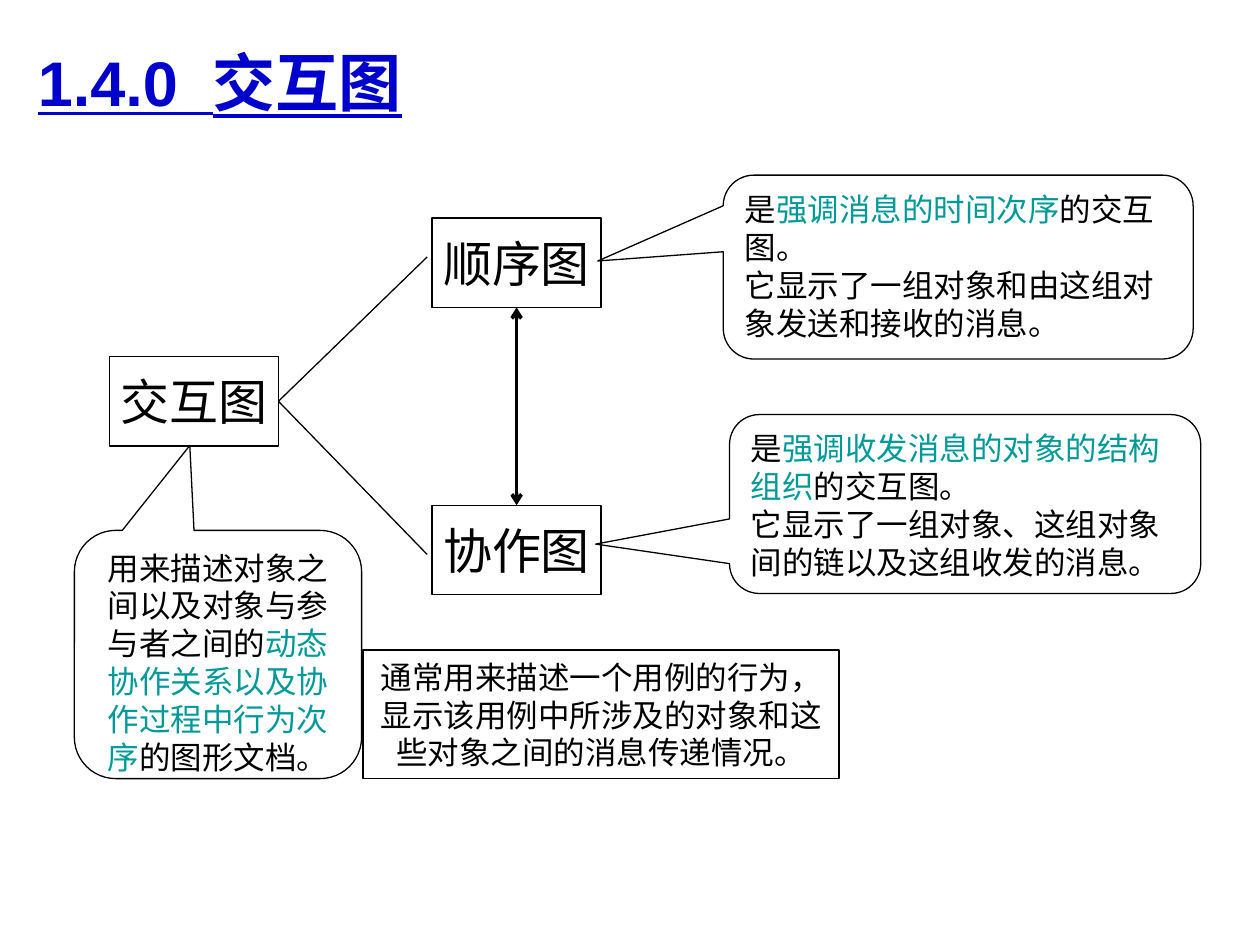
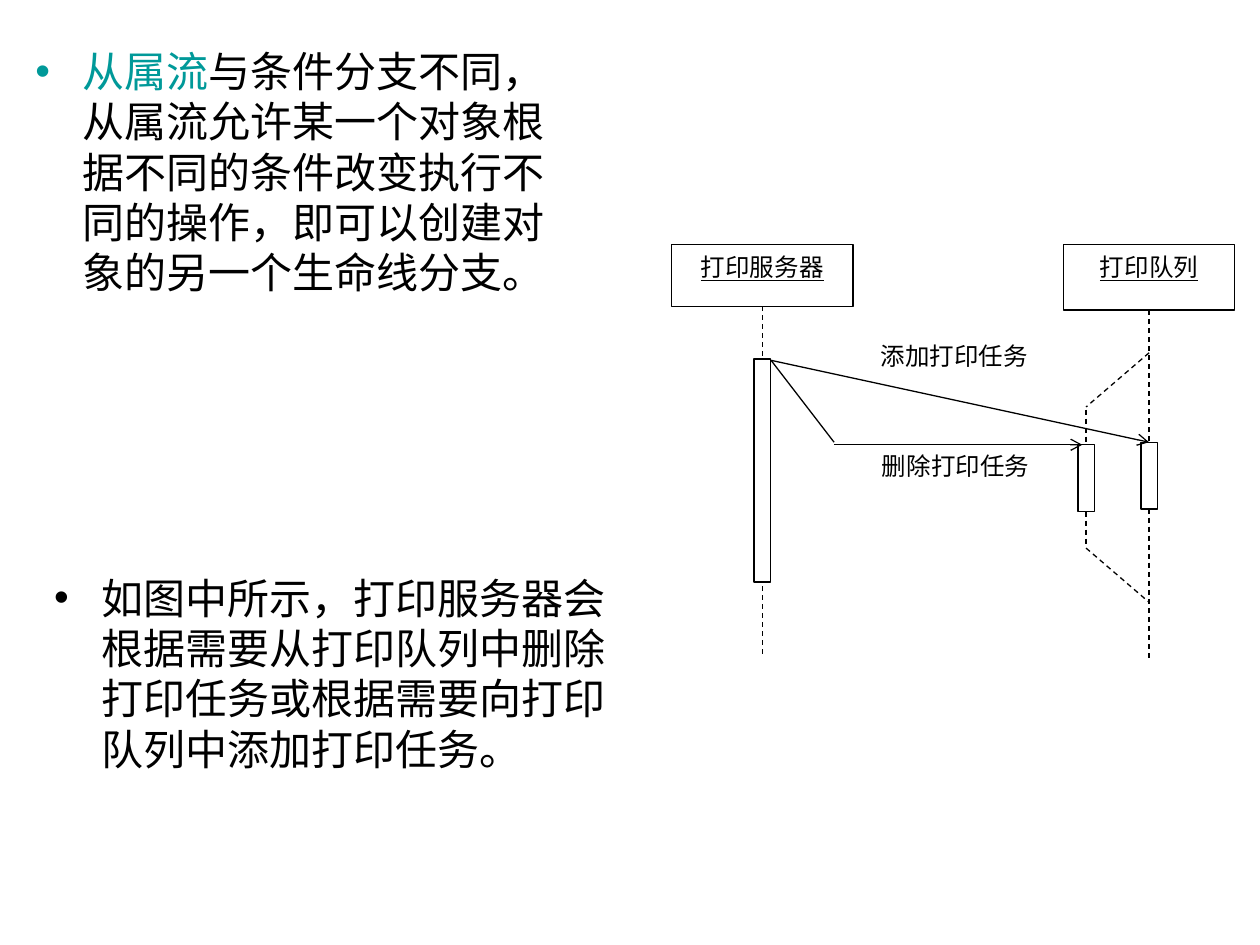
"""Build two slides on interaction diagrams and subordinate flow."""
import pptx
import pptx.dml.color
import pptx.enum.dml
import pptx.enum.lang
import pptx.enum.shapes
import pptx.enum.text
import pptx.oxml
import pptx.oxml.ns
import pptx.util

COLS, ROWS = 100, 75
BLACK, WHITE, BLUE, TEAL = "000000", "FFFFFF", "0000CC", "009999"
SHAPE = pptx.enum.shapes.MSO_SHAPE
ANCHOR = pptx.enum.text.MSO_ANCHOR
ALIGN = pptx.enum.text.PP_ALIGN
CHINESE = pptx.enum.lang.MSO_LANGUAGE_ID.SIMPLIFIED_CHINESE
TOP, LEFT, BOTTOM, RIGHT = range(4)


def rgb(code):
    return pptx.dml.color.RGBColor.from_string(code)


def set_all(obj, values):
    for name, value in values.items():
        setattr(obj, name, value)


def margins(left, top, right, bottom):
    names = ("margin_left", "margin_top", "margin_right", "margin_bottom")
    return {n: pptx.util.Inches(v) for n, v in zip(names, (left, top, right, bottom))}


class Deck:
    def __init__(self):
        self.prs = pptx.Presentation()
        self.prs.slide_width = pptx.util.Inches(10)
        self.prs.slide_height = pptx.util.Inches(7.5)
        self.font = "Arial"
        self.s = None

    def new_slide(self, layout, font):
        self.s = self.prs.slides.add_slide(self.prs.slide_layouts[layout])
        self.font = font

    def x(self, cols):
        return round(self.prs.slide_width * cols / COLS)

    def y(self, rows):
        return round(self.prs.slide_height * rows / ROWS)

    def box(self, left, top, width, height):
        return self.x(left), self.y(top), self.x(width), self.y(height)

    def place(self, sp, box):
        set_all(sp, dict(zip(("left", "top", "width", "height"), self.box(*box))))

    def add_text(self, sp, paragraphs, size, frame, para, color=BLACK, **font):
        tf = sp.text_frame
        set_all(tf, {"word_wrap": True, **frame})
        for i, text in enumerate(paragraphs):
            p = tf.add_paragraph() if i else tf.paragraphs[0]
            set_all(p, para)
            for n, part in enumerate(text.split("*")):
                if part:
                    r = p.add_run()
                    r.text = part
                    set_all(r.font, {"name": self.font, "size": pptx.util.Pt(size),
                                     "language_id": CHINESE, **font})
                    r.font.color.rgb = rgb(TEAL if n % 2 else color)

    def title(self, text, box):
        sp = self.s.shapes.title
        self.place(sp, box)
        self.add_text(sp, [text], 36, {"vertical_anchor": ANCHOR.MIDDLE},
                      {"alignment": ALIGN.LEFT}, BLUE, bold=True, underline=True)

    def bullet(self, idx, text, box):
        sp = self.s.placeholders[idx]
        self.place(sp, box)
        frame = {"auto_size": pptx.enum.text.MSO_AUTO_SIZE.NONE,
                 "vertical_anchor": ANCHOR.TOP, **margins(0.08, 0.08, 0.08, 0.08)}
        self.add_text(sp, [text], 24, frame, {"space_before": pptx.util.Pt(6)})

    def shape(self, kind, box, fill=None):
        sp = self.s.shapes.add_shape(kind, *self.box(*box))
        sp.shadow.inherit = False
        if fill:
            sp.fill.solid()
            sp.fill.fore_color.rgb = rgb(fill)
        else:
            sp.fill.background()
        sp.line.color.rgb = rgb(BLACK)
        sp.line.width = pptx.util.Pt(0.75)
        return sp

    def node(self, text, box, size=28, wrap=False):
        sp = self.shape(SHAPE.RECTANGLE, box)
        self.add_text(sp, [text], size, {"word_wrap": wrap, "vertical_anchor": ANCHOR.MIDDLE},
                      {"alignment": ALIGN.CENTER})
        return sp

    def callout(self, paragraphs, box, tip, align=ALIGN.LEFT):
        sp = self.shape(SHAPE.ROUNDED_RECTANGULAR_CALLOUT, box)
        for i, value in enumerate((*tip, 0.167)):
            sp.adjustments[i] = value
        self.add_text(sp, paragraphs, 18, {"vertical_anchor": ANCHOR.TOP}, {"alignment": align})

    def head(self, text, center, top, width, height):
        sp = self.shape(SHAPE.RECTANGLE, (center - width / 2, top, width, height))
        self.add_text(sp, [text], 14, {"vertical_anchor": ANCHOR.TOP, **margins(0, 0.06, 0, 0)},
                      {"alignment": ALIGN.CENTER}, underline=True)
        return sp

    def bar(self, center, top, height, width=1.3):
        return self.shape(SHAPE.RECTANGLE, (center - width / 2, top, width, height), WHITE)

    def label(self, text, box):
        sp = self.s.shapes.add_textbox(*self.box(*box))
        self.add_text(sp, [text], 14, margins(0, 0, 0, 0), {"alignment": ALIGN.CENTER})

    def line(self, start, end, width=0.75, dash=False, arrows=(), begin=None, finish=None):
        c = self.s.shapes.add_connector(
            pptx.enum.shapes.MSO_CONNECTOR.STRAIGHT,
            self.x(start[0]), self.y(start[1]), self.x(end[0]), self.y(end[1]))
        if begin:
            c.begin_connect(*begin)
        if finish:
            c.end_connect(*finish)
        c.line.color.rgb = rgb(BLACK)
        c.line.width = pptx.util.Pt(width)
        if dash:
            c.line.dash_style = pptx.enum.dml.MSO_LINE.DASH
        ln = c.element.spPr.find(pptx.oxml.ns.qn("a:ln"))
        for tag in arrows:
            ln.append(pptx.oxml.parse_xml(
                f'<a:{tag} {pptx.oxml.ns.nsdecls("a")} type="arrow"/>'))
        c.element.spPr.append(pptx.oxml.parse_xml(
            f'<a:effectLst {pptx.oxml.ns.nsdecls("a")}/>'))


def interaction_slide(d):
    d.new_slide(5, "Arial")
    d.title("1.4.0  交互图", (2, 2.1, 81.9, 8.7))
    interaction, sequence, collaboration = (
        d.node(text, (left, top, 13.4, 7.1)) for text, left, top in (
            ("交互图", 8.7, 28.3), ("顺序图", 34.3, 17.3), ("协作图", 34.3, 40.1)))
    for row in (20.4, 44):
        d.line((22.1, 31.4), (33.9, row), begin=(interaction, RIGHT))
    d.callout(["用来描述对象之间以及对象与参与者之间的*动态协作关系以及协作过程中行为次序*的图形文档。"],
              (5.9, 42.1, 22.8, 19.7), (-0.098, -0.842), ALIGN.CENTER)
    d.node("通常用来描述一个用例的行为，显示该用例中所涉及的对象和这些对象之间的消息传递情况。",
           (28.8, 51.6, 37.8, 10.2), 18, True)
    d.line((41, 24.4), (41, 40.1), 2, arrows=("headEnd", "tailEnd"),
           begin=(sequence, BOTTOM), finish=(collaboration, TOP))
    d.callout(["是*强调消息的时间次序*的交互图。",
               "它显示了一组对象和由这组对象发送和接收的消息。"],
              (57.4, 13.9, 37.3, 14.6), (-0.767, -0.033))
    d.callout(["是*强调收发消息的对象的结构组织*的交互图。",
               "它显示了一组对象、这组对象间的链以及这组收发的消息。"],
              (57.9, 32.9, 37.4, 14.2), (-0.784, 0.224))


def subordinate_flow_slide(d):
    d.new_slide(3, "Times New Roman")
    title = d.s.shapes.title.element
    title.getparent().remove(title)
    d.bullet(1, "*从属流*与条件分支不同，从属流允许某一个对象根据不同的条件改变执行不同的操作，"
                "即可以创建对象的另一个生命线分支。", (2, 2.8, 44.1, 27.6))
    d.bullet(2, "如图中所示，打印服务器会根据需要从打印队列中删除打印任务或根据需要向打印队列中添加打印任务。",
             (3.5, 44.6, 47.2, 23.6))

    server, queue, branch = 60.5, 91.2, 86.2
    for text, center, width, height, end in (("打印服务器", server, 14.4, 4.9, 51.9),
                                             ("打印队列", queue, 13.6, 5.2, 52.3)):
        sp = d.head(text, center, 19.4, width, height)
        d.line((center, 19.4 + height), (center, end), dash=True, begin=(sp, BOTTOM))
    d.bar(server, 28.5, 17.7)
    queue_bar = d.bar(queue, 35.1, 5.3)
    branch_bar = d.bar(branch, 35.3, 5.3)

    d.line((queue, 28), (branch, 32.3), dash=True)
    d.line((branch, 32.5), (branch, 35.3), dash=True, finish=(branch_bar, TOP))
    d.line((branch, 40.6), (branch, 43.3), dash=True, begin=(branch_bar, BOTTOM))
    d.line((branch, 43.5), (queue, 47.8), dash=True)

    d.line((66.2, 35.3), (85.9, 35.3), arrows=("tailEnd",))
    d.line((61.2, 28.6), (queue, 35.1), arrows=("tailEnd",), finish=(queue_bar, TOP))
    d.line((61.2, 28.6), (66.2, 35.1))
    for text, left, top in (("添加打印任务", 67.6, 27.1), ("删除打印任务", 67.7, 35.8)):
        d.label(text, (left, top, 16.3, 4.3))


def main():
    d = Deck()
    interaction_slide(d)
    subordinate_flow_slide(d)
    d.prs.save("out.pptx")


if __name__ == "__main__":
    main()
